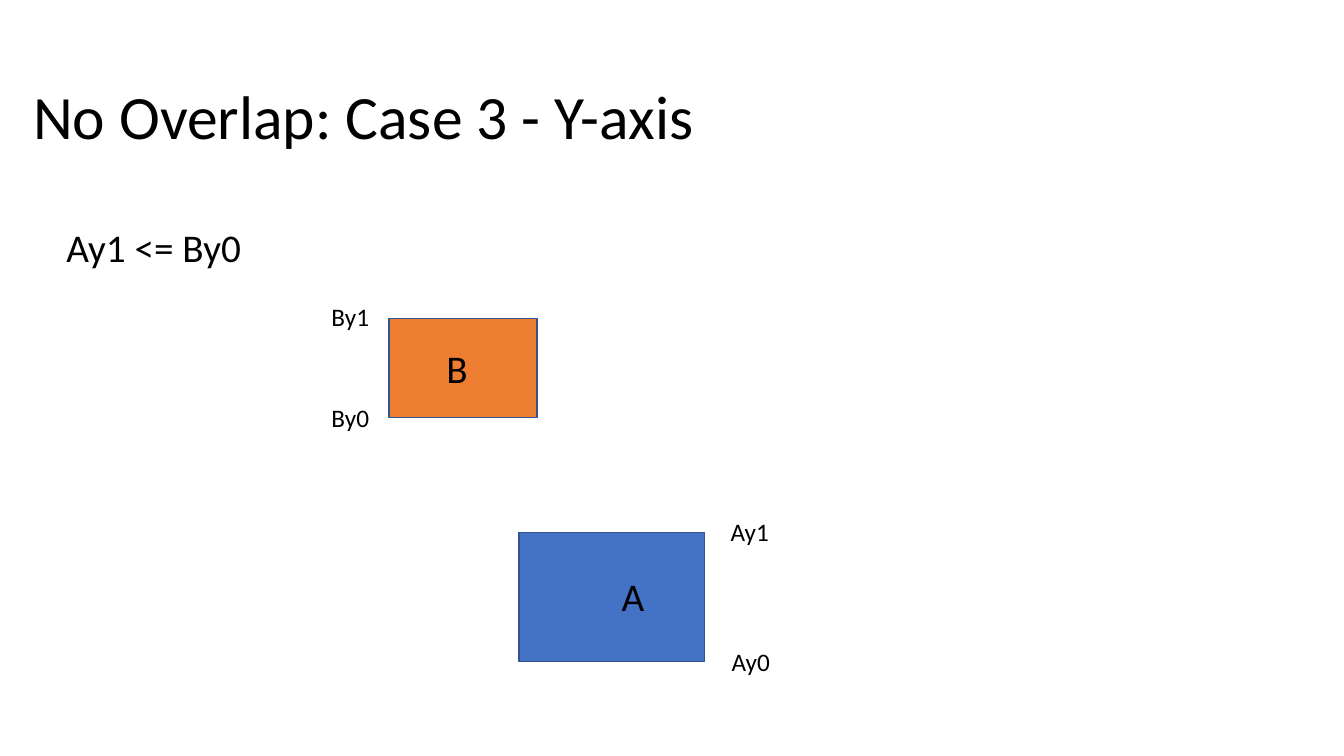
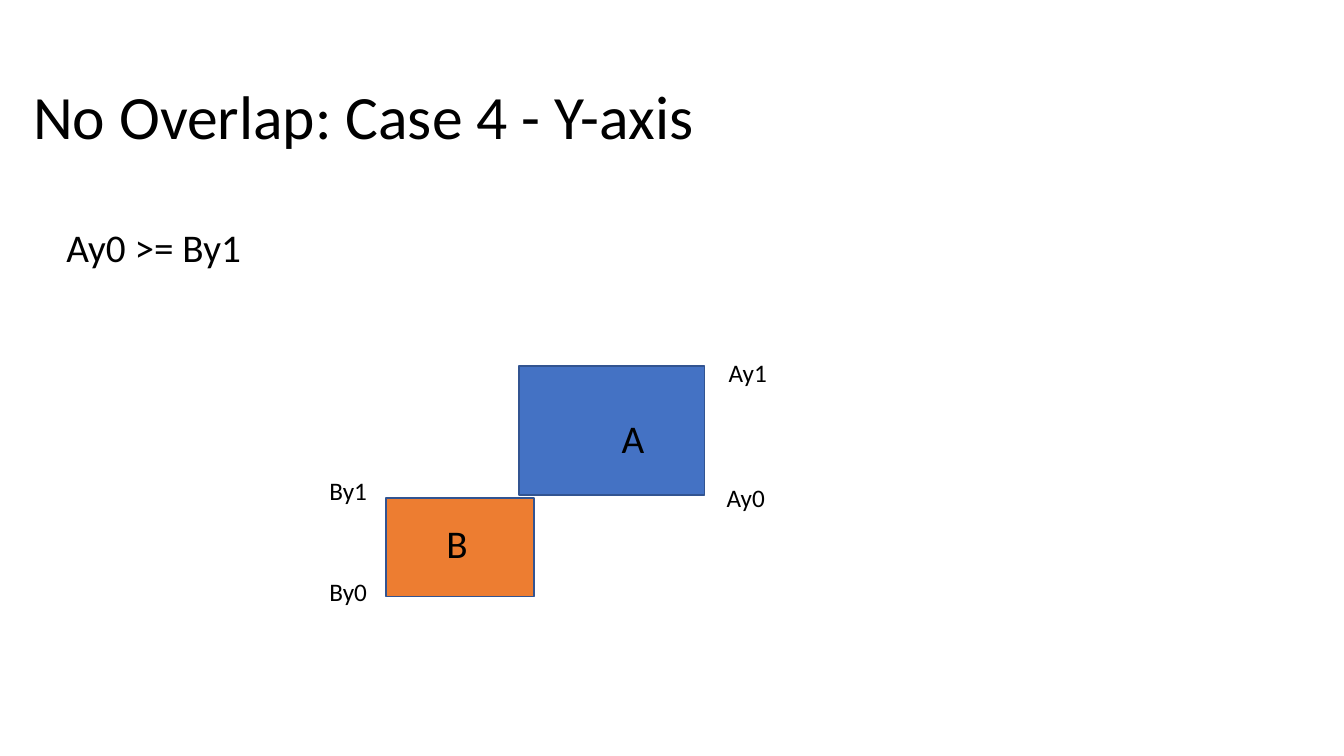
from pptx import Presentation
from pptx.dml.color import RGBColor
from pptx.enum.shapes import MSO_SHAPE
from pptx.enum.text import MSO_ANCHOR
from pptx.util import Pt

COLORS = {"text": "000000", "A": "4472C4", "B": "ED7D31", "outline": "325491"}
FONT = "Calibri"
BOX_SIZES = {"A": (132.5, 92.2), "B": (105.8, 70.6)}
LABEL_SIZE = (48, 29)

# Boxes, names and edge labels are given by their left and top.
CASES = [
    {
        "title": "No Overlap: Case 3 - Y-axis",
        "condition": "Ay1 <= By0",
        "boxes": {"B": (277.9, 227.5), "A": (370.8, 380.2)},
        "names": {"B": (311.8, 242.6), "A": (437, 405.4)},
        "edges": {"By0": (229.7, 283.7), "By1": (229.7, 211.7),
                  "Ay0": (515.5, 457.9), "Ay1": (514.8, 365)},
    },
    {
        "title": "No Overlap: Case 4 - Y-axis",
        "condition": "Ay0 >= By1",
        "boxes": {"B": (275.8, 355.7), "A": (370.8, 261.4)},
        "names": {"B": (311.8, 367.2), "A": (437, 292.3)},
        "edges": {"By0": (228.2, 408.2), "By1": (228.2, 336.2),
                  "Ay0": (511.9, 341.3), "Ay1": (513.4, 252)},
    },
]


def add_text(slide, text, left, top, width, height, size=28,
             anchor=MSO_ANCHOR.TOP, line_spacing=1.0):
    """Add a wrapped, left-aligned text box with one formatted paragraph."""
    shape = slide.shapes.add_textbox(Pt(left), Pt(top), Pt(width), Pt(height))
    frame = shape.text_frame
    frame.word_wrap = True
    frame.vertical_anchor = anchor
    paragraph = frame.paragraphs[0]
    paragraph.line_spacing = line_spacing
    run = paragraph.add_run()
    run.text = text
    run.font.name = FONT
    run.font.size = Pt(size)
    run.font.color.rgb = RGBColor.from_string(COLORS["text"])


def add_box(slide, name, left, top):
    """Add the outlined rectangle that stands for box A or B."""
    width, height = BOX_SIZES[name]
    shape = slide.shapes.add_shape(
        MSO_SHAPE.RECTANGLE, Pt(left), Pt(top), Pt(width), Pt(height))
    shape.shadow.inherit = False
    shape.fill.solid()
    shape.fill.fore_color.rgb = RGBColor.from_string(COLORS[name])
    shape.line.color.rgb = RGBColor.from_string(COLORS["outline"])
    shape.line.width = Pt(1)


presentation = Presentation()
presentation.slide_width = Pt(960)
presentation.slide_height = Pt(540)
blank_layout = presentation.slide_layouts[6]

for case in CASES:
    slide = presentation.slides.add_slide(blank_layout)
    add_text(slide, case["title"], 16.6, 33.1, 661.7, 104.4, size=44,
             anchor=MSO_ANCHOR.MIDDLE, line_spacing=0.9)
    for name, position in case["boxes"].items():
        add_box(slide, name, *position)
        add_text(slide, name, *case["names"][name], 72, 41)
    for label, position in case["edges"].items():
        add_text(slide, label, *position, *LABEL_SIZE, size=18)
    add_text(slide, case["condition"], 40.3, 156.2, 237.6, 41)

presentation.save("out.pptx")
